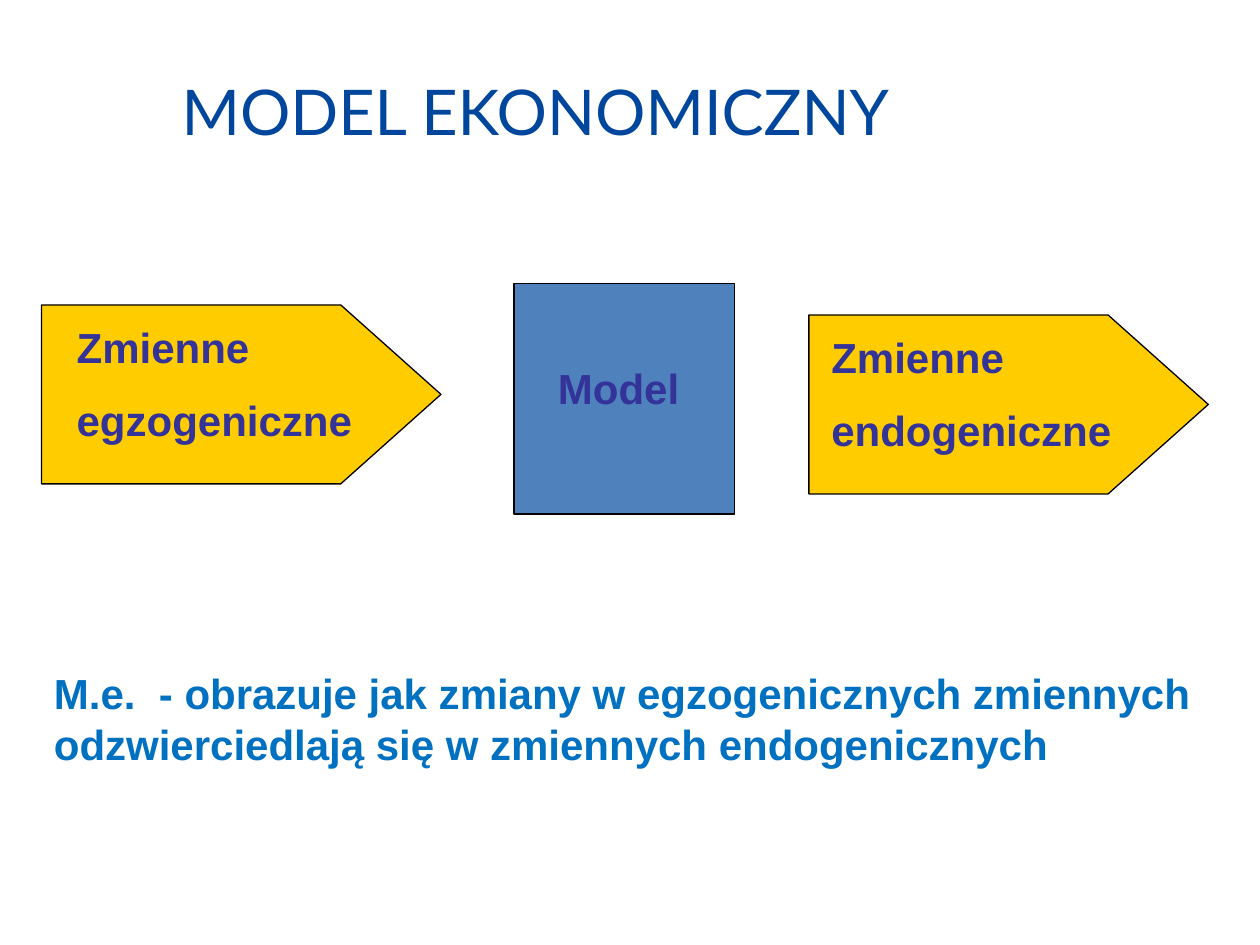
from pptx import Presentation
from pptx.dml.color import RGBColor
from pptx.enum.shapes import MSO_SHAPE as Shape
from pptx.enum.text import MSO_ANCHOR as Anchor, MSO_AUTO_SIZE as AutoSize, PP_ALIGN as Align
from pptx.util import Inches, Pt

COLORS = {
    "title": "00469C",
    "arrow": "FFCC00",
    "model": "4F81BD",
    "outline": "000000",
    "label": "333399",
    "note": "0070C0",
}


def color(name):
    return RGBColor.from_string(COLORS[name])


def set_font(para, face, size, color_name, bold=False):
    para.font.name = face
    para.font.size = Pt(size)
    para.font.bold = bold
    para.font.color.rgb = color(color_name)


def set_title(page, text):
    title = page.shapes.title
    title.left, title.top = Inches(0), Inches(0.25)
    title.width, title.height = Inches(8.5), Inches(1.25)
    frame = title.text_frame
    frame.text = text
    frame.vertical_anchor = Anchor.MIDDLE
    para = frame.paragraphs[0]
    para.alignment = Align.CENTER
    set_font(para, "Lato", 36, "title")


def add_block(shapes, kind, left, top, width, height, fill):
    block = shapes.add_shape(kind, Inches(left), Inches(top), Inches(width), Inches(height))
    block.shadow.inherit = False
    block.fill.solid()
    block.fill.fore_color.rgb = color(fill)
    block.line.color.rgb = color("outline")
    block.line.width = Pt(0.75)
    return block


def add_text(shapes, lines, left, top, width, height, color_name):
    box = shapes.add_textbox(Inches(left), Inches(top), Inches(width), Inches(height))
    frame = box.text_frame
    frame.word_wrap = True
    frame.auto_size = AutoSize.SHAPE_TO_FIT_TEXT
    frame.text = "\n".join(lines)
    for para in frame.paragraphs:
        para.space_before = Pt(13)
        set_font(para, "Arial", 24, color_name, bold=True)


def add_variables(shapes, left, top, lines, text_left, text_width):
    arrow = add_block(shapes, Shape.PENTAGON, left, top, 3.17, 1.42, "arrow")
    arrow.adjustments[0] = 0.56
    add_text(shapes, lines, text_left, top + 0.08, text_width, 1.11, "label")


def main():
    deck = Presentation()
    deck.slide_width, deck.slide_height = Inches(10), Inches(7.5)
    page = deck.slides.add_slide(deck.slide_layouts[5])
    set_title(page, "MODEL EKONOMICZNY")

    # Diagram: inputs, model, outputs
    diagram = page.shapes.add_group_shape().shapes
    add_variables(diagram, 0.33, 2.42, ["Zmienne", "egzogeniczne"], 0.51, 2.82)
    add_block(diagram, Shape.RECTANGLE, 4.08, 2.25, 1.75, 1.83, "model")
    add_text(diagram, ["Model"], 4.33, 2.83, 1.33, 0.5, "label")
    add_variables(diagram, 6.42, 2.5, ["Zmienne", "endogeniczne"], 6.5, 2.67)

    # Explanation below the diagram
    note = ("M.e.  - obrazuje jak zmiany w egzogenicznych zmiennych "
            "odzwierciedlają się w zmiennych endogenicznych")
    add_text(page.shapes, [note], 0.33, 5.25, 9.67, 0.91, "note")

    deck.save("out.pptx")


if __name__ == "__main__":
    main()
